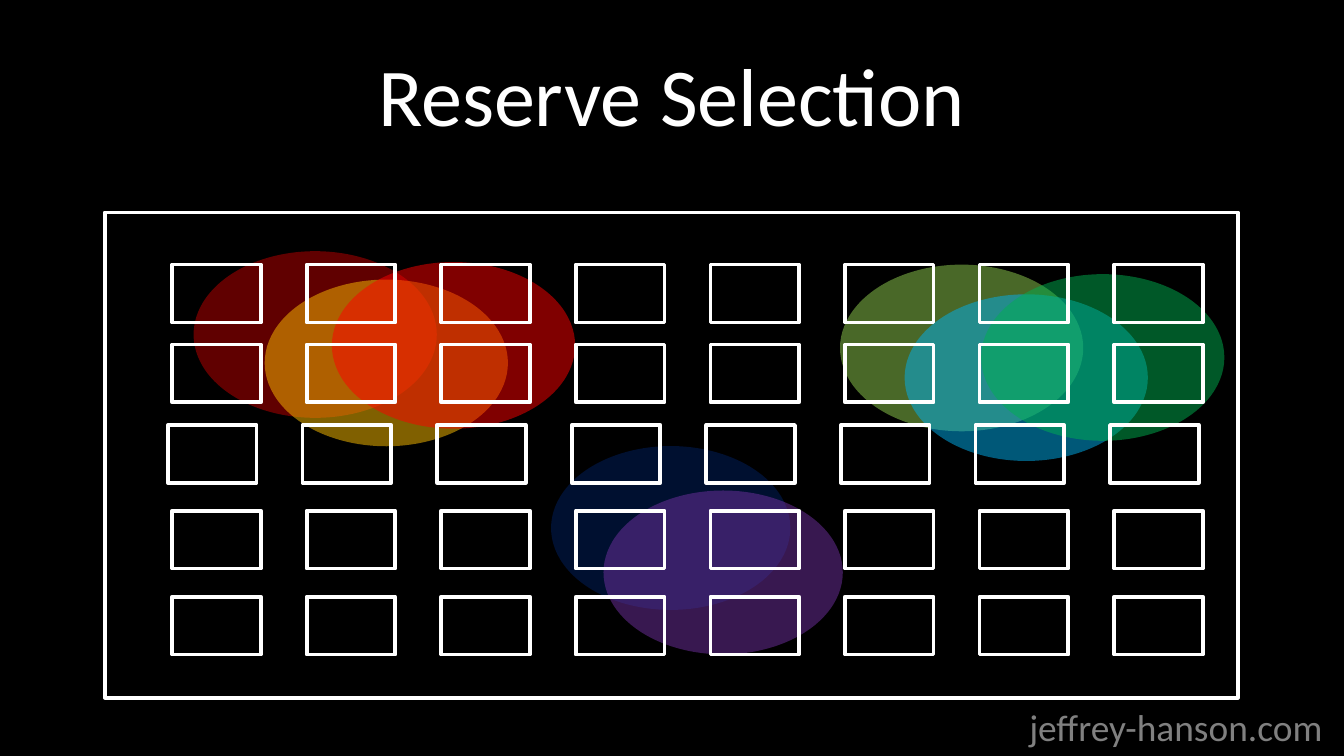
"""Build the Reserve Selection slide: planning units over species ranges."""
from lxml.etree import SubElement
from pptx import Presentation
from pptx.dml.color import RGBColor
from pptx.enum.shapes import MSO_SHAPE
from pptx.enum.text import MSO_ANCHOR, MSO_AUTO_SIZE, PP_ALIGN
from pptx.oxml.ns import qn
from pptx.util import Pt

THEME = {
    "font": "Calibri", "title_size": 44, "credit_size": 20, "line": 2,
    "back": "000000", "fore": "FFFFFF", "credit": "808080", "alpha": 50,
}

TITLE = ("Reserve Selection", (36, 16.6, 648, 67.6))
CREDIT = ("jeffrey-hanson.com", (544.3, 373.7, 173.5, 31.7))
FRAME = (56.2, 113.8, 607, 260)

RANGES = [
    ((128.2, 87.8), [(295.2, 239, "002060"), (323.3, 262.8, "7030A0")]),
    ((130.3, 89.3), [
        (103.7, 134.6, "C00000"), (141.8, 149.8, "FFC000"), (177.8, 140.4, "FF0000"),
        (450, 141.8, "92D050"), (484.6, 157.7, "00B0F0"), (525.6, 146.9, "00B050"),
    ]),
]

UNIT_SIZE = (47.5, 31)
UNIT_COLS, UNIT_PITCH = 8, 72.1
UNIT_ROWS = [(92.2, 141.8), (92.2, 184.6), (90, 227.7), (92.2, 273.6), (92.2, 319.7)]


def rgb(key):
    return RGBColor.from_string(THEME[key])


def add_outline(slide, box):
    sp = slide.shapes.add_shape(MSO_SHAPE.RECTANGLE, *map(Pt, box))
    sp.shadow.inherit = False
    sp.fill.background()
    sp.line.color.rgb = rgb("fore")
    sp.line.width = Pt(THEME["line"])


def add_range(slide, box, color):
    sp = slide.shapes.add_shape(MSO_SHAPE.OVAL, *map(Pt, box))
    sp.shadow.inherit = False
    sp.line.fill.background()
    sp.fill.solid()
    sp.fill.fore_color.rgb = RGBColor.from_string(color)
    clr = sp.fill._xPr.find(qn("a:solidFill")).find(qn("a:srgbClr"))
    SubElement(clr, qn("a:alpha"), val=str(THEME["alpha"] * 1000))


def add_run(p, text, role, color):
    r = p.add_run()
    r.text = text
    r.font.name = THEME["font"]
    r.font.size = Pt(THEME[role])
    r.font.color.rgb = rgb(color)


def add_title(slide):
    text, box = TITLE
    sp = slide.shapes.title
    sp.left, sp.top, sp.width, sp.height = map(Pt, box)
    tf = sp.text_frame
    tf.vertical_anchor = MSO_ANCHOR.MIDDLE
    p = tf.paragraphs[0]
    p.alignment = PP_ALIGN.CENTER
    add_run(p, text, "title_size", "fore")


def add_credit(slide):
    text, box = CREDIT
    tf = slide.shapes.add_textbox(*map(Pt, box)).text_frame
    tf.word_wrap = False
    tf.auto_size = MSO_AUTO_SIZE.SHAPE_TO_FIT_TEXT
    add_run(tf.paragraphs[0], text, "credit_size", "credit")


def main():
    prs = Presentation()
    prs.slide_width, prs.slide_height = Pt(720), Pt(405)
    slide = prs.slides.add_slide(prs.slide_layouts[5])
    slide.background.fill.solid()
    slide.background.fill.fore_color.rgb = rgb("back")

    add_title(slide)
    add_outline(slide, FRAME)
    for size, ellipses in RANGES:
        for x, y, color in ellipses:
            add_range(slide, (x, y, *size), color)
    for x, y in UNIT_ROWS:
        for col in range(UNIT_COLS):
            add_outline(slide, (x + col * UNIT_PITCH, y, *UNIT_SIZE))
    add_credit(slide)
    prs.save("out.pptx")


if __name__ == "__main__":
    main()
